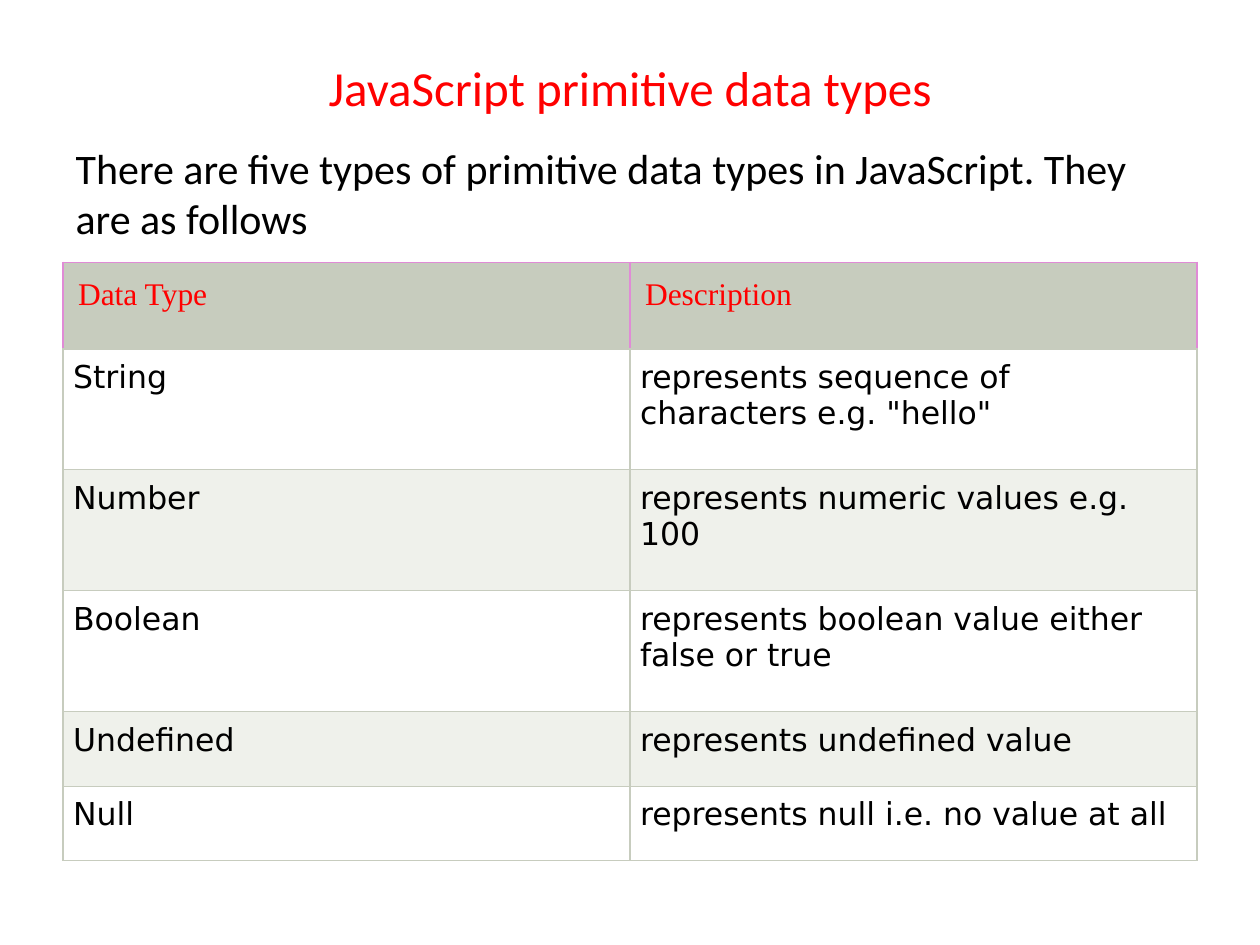
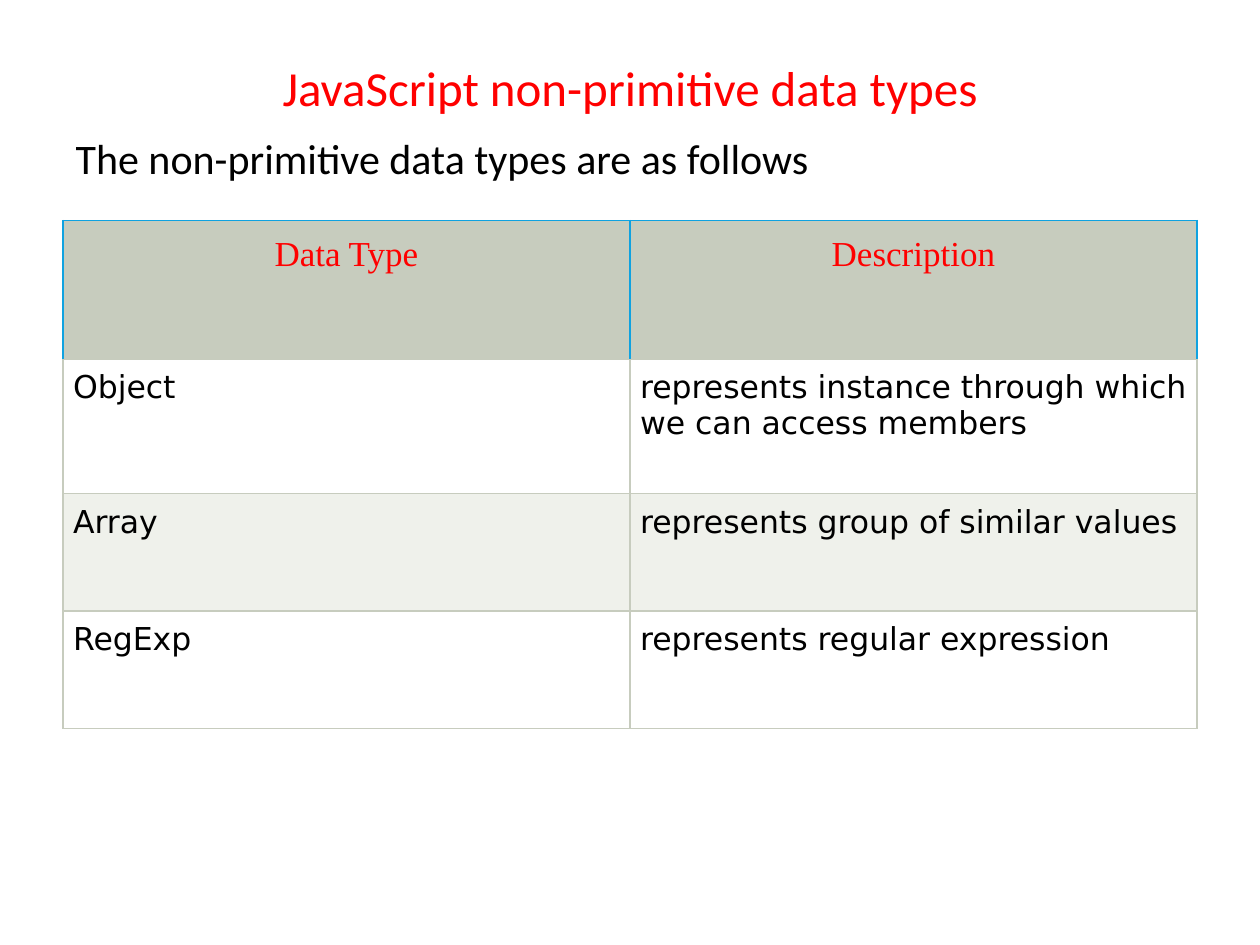
from pptx import Presentation
from pptx.dml.color import RGBColor as RGB
from pptx.enum.text import MSO_ANCHOR as Anchor, MSO_AUTO_SIZE as Fit, PP_ALIGN as Align
from pptx.oxml import parse_xml
from pptx.oxml.ns import nsdecls
from pptx.util import Inches, Pt

HUES = {"red": "FF0000", "ink": "000000", "head": "C7CCBE",
        "band": "EFF1EB", "plain": "FFFFFF", "pink": "E08BD6", "blue": "10A2E0"}

HEAD = ("Data Type", "Description")

# What differs between the slides
PAGES = [
    {"title": "JavaScript primitive data types",
     "lead": "There are five types of primitive data types in JavaScript. They are as follows",
     "lead_top": 1.08, "top": 2.08, "edge": "pink", "size": 18, "align": Align.LEFT,
     "tall": [0.69, 0.96, 0.96, 0.96, 0.59, 0.59],
     "rows": [("String", 'represents sequence of characters e.g. "hello"'),
              ("Number", "represents numeric values e.g. 100"),
              ("Boolean", "represents boolean value either false or true"),
              ("Undefined", "represents undefined value"),
              ("Null", "represents null i.e. no value at all")]},
    {"title": "JavaScript non-primitive data types",
     "lead": "The non-primitive data types are as follows",
     "lead_top": 1, "top": 1.75, "edge": "blue", "size": 20, "align": Align.CENTER,
     "tall": [1.1, 1.07, 0.93, 0.93],
     "rows": [("Object", "represents instance through which we can access members"),
              ("Array", "represents group of similar values"),
              ("RegExp", "represents regular expression")]},
]

LEFT, WIDE, LOW = 0.5, 9, 6.7


def style(para, name, size, hue, align=Align.LEFT):
    para.alignment = align
    font = para.font
    font.name, font.size, font.bold = name, Pt(size), False
    font.color.rgb = RGB.from_string(HUES[hue])


def place(shape, top, high):
    shape.left, shape.top = Inches(LEFT), Inches(top)
    shape.width, shape.height = Inches(WIDE), Inches(high)
    shape.text_frame.word_wrap = True
    shape.text_frame.auto_size = Fit.NONE


deck = Presentation()
deck.slide_width, deck.slide_height = Inches(10), Inches(7.5)

for page in PAGES:
    slide = deck.slides.add_slide(deck.slide_layouts[1])

    # Title, held in the upper part of its box
    title = slide.shapes.title
    place(title, 0.3, 1.25)
    title.text_frame.text = page["title"]
    title.text_frame.vertical_anchor = Anchor.MIDDLE
    title.text_frame.margin_bottom = Inches(0.52)
    style(title.text_frame.paragraphs[0], "Calibri", 28, "red", Align.CENTER)

    # Lead sentence, without a bullet
    body = slide.placeholders[1]
    place(body, page["lead_top"], LOW - page["lead_top"])
    body.text_frame.text = page["lead"]
    para = body.text_frame.paragraphs[0]
    props = para._p.get_or_add_pPr()
    props.set("marL", "0")
    props.set("indent", "0")
    props.append(parse_xml(f"<a:buNone {nsdecls('a')}/>"))
    para.space_before = Pt(0)
    style(para, "Calibri", 24, "ink")

    # Table
    rows = [HEAD] + page["rows"]
    frame = slide.shapes.add_table(len(rows), len(HEAD), Inches(LEFT), Inches(page["top"]),
                                   Inches(WIDE), Inches(sum(page["tall"])))
    table = frame.table
    table.first_row = table.horz_banding = False
    for row, high in zip(table.rows, page["tall"]):
        row.height = Inches(high)

    for r, words in enumerate(rows):
        top_row = r == 0
        fill = "head" if top_row else ("band" if r % 2 == 0 else "plain")
        pad = Inches(0.12 if top_row else 0.08)
        for c, word in enumerate(words):
            cell = table.cell(r, c)
            cell.text = word
            cell.margin_left = cell.margin_right = pad
            cell.margin_top = cell.margin_bottom = pad
            para = cell.text_frame.paragraphs[0]
            if top_row:
                style(para, "Times New Roman", page["size"], "red", page["align"])
            else:
                style(para, "DejaVu Sans", 18, "ink")

            # Borders come before the fill
            props = cell._tc.get_or_add_tcPr()
            for side in "LRTB":
                hue = page["edge"] if top_row and side != "B" else "head"
                props.append(parse_xml(
                    f'<a:ln{side} {nsdecls("a")} w="{Pt(0.75)}"><a:solidFill>'
                    f'<a:srgbClr val="{HUES[hue]}"/></a:solidFill></a:ln{side}>'))
            cell.fill.solid()
            cell.fill.fore_color.rgb = RGB.from_string(HUES[fill])

deck.save("out.pptx")
